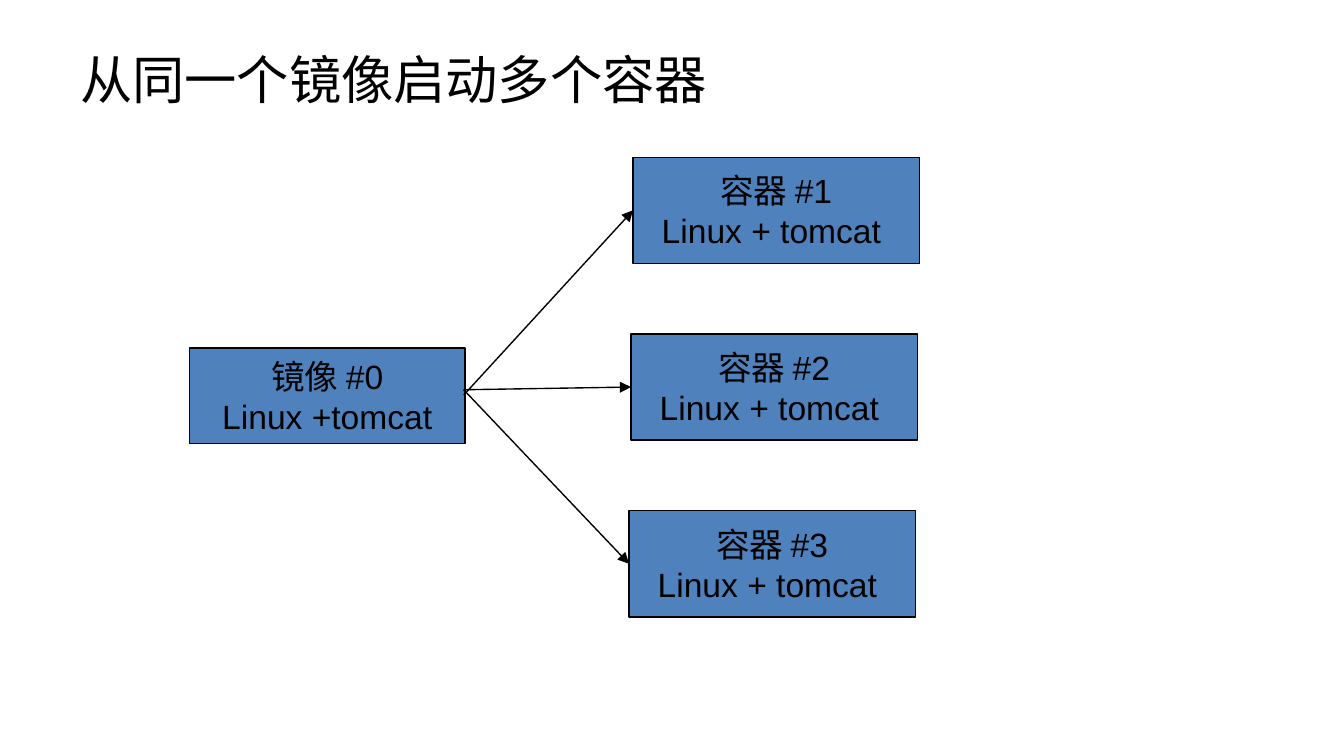
from lxml.etree import SubElement
from pptx import Presentation
from pptx.dml.color import RGBColor
from pptx.enum.shapes import MSO_CONNECTOR, MSO_SHAPE
from pptx.enum.text import MSO_ANCHOR, PP_ALIGN
from pptx.oxml.ns import qn
from pptx.util import Inches, Pt

TITLE = "从同一个镜像启动多个容器"
IMAGE = ("镜像 #0", "Linux +tomcat")
CONTAINERS = [(f"容器 #{n}", "Linux + tomcat ") for n in (1, 2, 3)]

THEME = {
    "fill": RGBColor(0x4F, 0x81, 0xBD),
    "ink": RGBColor(0, 0, 0),
    "latin": "Arial",
    "cjk": "Noto Sans CJK SC",
    "title": Pt(28),
    "body": Pt(18),
    "line": Pt(0.75),
}

SLIDE_W = 10
SLIDE_H = SLIDE_W * 9 / 16
IMAGE_BOX = (1.41, 2.59, 2.05, 0.71)
FIRST_X, LAST_X = 4.71, 4.68
FIRST_Y, LAST_Y = 1.17, 3.8
BOX_W, BOX_H = 2.13, 0.79
START_X = 3.45
START_YS = (2.94, 2.9, 2.9)


def style_run(r, size, font):
    r.font.size = size
    r.font.name = font
    r.font.color.rgb = THEME["ink"]
    SubElement(r.font._element, qn("a:ea"), typeface=THEME["cjk"])


def add_box(s, lines, x, y, w, h):
    sp = s.shapes.add_shape(MSO_SHAPE.FLOWCHART_PROCESS,
                            Inches(x), Inches(y), Inches(w), Inches(h))
    sp.shadow.inherit = False
    sp.fill.solid()
    sp.fill.fore_color.rgb = THEME["fill"]
    sp.line.color.rgb = THEME["ink"]
    sp.line.width = THEME["line"]
    tf = sp.text_frame
    tf.word_wrap = False
    tf.vertical_anchor = MSO_ANCHOR.MIDDLE
    tf.text = "\n".join(lines)
    for p in tf.paragraphs:
        p.alignment = PP_ALIGN.CENTER
        style_run(p.runs[0], THEME["body"], THEME["latin"])


def add_arrow(s, x1, y1, x2, y2):
    line = s.shapes.add_connector(MSO_CONNECTOR.STRAIGHT,
                                  Inches(x1), Inches(y1), Inches(x2), Inches(y2))
    line.line.color.rgb = THEME["ink"]
    line.line.width = THEME["line"]
    SubElement(line.line._get_or_add_ln(), qn("a:tailEnd"), type="triangle")
    SubElement(line._element.spPr, qn("a:effectLst"))


def add_title(s):
    tf = s.shapes.add_textbox(Inches(0.5), Inches(0.3),
                              Inches(9), Inches(0.56)).text_frame
    tf.word_wrap = True
    tf.text = TITLE
    style_run(tf.paragraphs[0].runs[0], THEME["title"], THEME["cjk"])


def main():
    prs = Presentation()
    prs.slide_width, prs.slide_height = Inches(SLIDE_W), Inches(SLIDE_H)
    s = prs.slides.add_slide(prs.slide_layouts[6])
    add_box(s, IMAGE, *IMAGE_BOX)
    gaps = len(CONTAINERS) - 1
    for i, (lines, start_y) in enumerate(zip(CONTAINERS, START_YS)):
        x = FIRST_X + i * (LAST_X - FIRST_X) / gaps
        y = FIRST_Y + i * (LAST_Y - FIRST_Y) / gaps
        add_box(s, lines, x, y, BOX_W, BOX_H)
        add_arrow(s, START_X, start_y, x, y + BOX_H / 2)
    add_title(s)
    prs.save("out.pptx")


if __name__ == "__main__":
    main()
